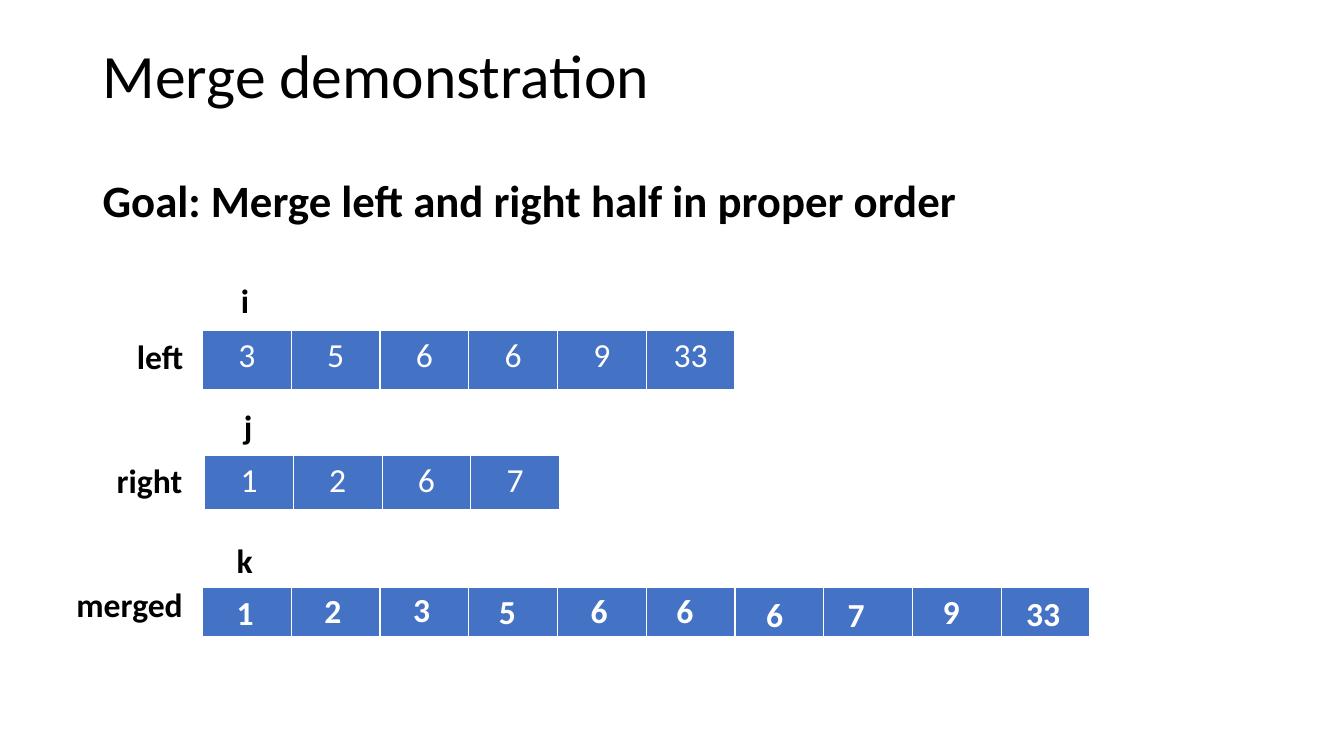
from lxml import etree
from pptx import Presentation
from pptx import util as u
from pptx.dml.color import RGBColor
from pptx.enum import text
from pptx.oxml import ns

BLACK = RGBColor(0x00, 0x00, 0x00)
WHITE = RGBColor(0xFF, 0xFF, 0xFF)
BLUE = RGBColor(0x44, 0x72, 0xC4)
COLUMN = 0.88
LINE = 0.5
BORDERS = {"a:lnL": 1, "a:lnR": 1, "a:lnT": 1, "a:lnB": 3}

ARRAYS = [
    dict(box=(2.01, 3.28, 0.6), values=[3, 5, 6, 6, 9, 33], count=6,
         name=("left", 1.26, 0, 0.68), index=("i", 0.28, -0.55, 0.28)),
    dict(box=(2.03, 4.52, 0.55), values=[1, 2, 6, 7], count=4,
         name=("right", 1.06, -0.01, 0.86), index=("j", 0.29, -0.54, 0.29)),
    dict(box=(2.01, 5.83, 0.5), values=[], count=10,
         name=("merged", 0.66, -0.09, 1.27), index=("k", 0.24, -0.52, 0.36)),
]
MERGED = [
    (1, 0.24, -0.01), (2, 0.23, -0.03), (3, 0.23, -0.04), (5, 0.2, -0.02),
    (6, 0.23, -0.03), (6, 0.2, -0.03), (6, 0.21, 0.01), (7, 0.14, 0.01),
    (9, 0.2, -0.02), (33, 0.15, 0),
]


def style(paragraph, size, color, bold):
    look = {"name": "Calibri", "size": u.Pt(size), "bold": bold}
    for key, value in look.items():
        setattr(paragraph.font, key, value)
    paragraph.font.color.rgb = color


def add_label(slide, words, left, top, width, color=BLACK):
    label = slide.shapes.add_textbox(*map(u.Inches, (left, top, width, LINE)))
    frame = label.text_frame
    frame.word_wrap = False
    frame.auto_size = text.MSO_AUTO_SIZE.SHAPE_TO_FIT_TEXT
    frame.text = str(words)
    style(frame.paragraphs[0], 24, color, True)


def add_heading(slide, left, top, width, height):
    heading = slide.shapes.add_textbox(*map(u.Inches, (left, top, width, height)))
    frame = heading.text_frame
    frame.word_wrap = True
    frame.text = "Merge demonstration\nGoal: Merge left and right half in proper order"
    title, goal = frame.paragraphs
    style(title, 44, BLACK, False)
    style(goal, 32, BLACK, True)
    title.line_spacing = goal.line_spacing = 0.9
    goal.space_before = u.Pt(48)


def add_borders(cell):
    properties = cell._tc.get_or_add_tcPr()
    for side, points in BORDERS.items():
        line = etree.SubElement(properties, ns.qn(side), w=str(u.Pt(points)))
        fill = etree.SubElement(line, ns.qn("a:solidFill"))
        etree.SubElement(fill, ns.qn("a:srgbClr"), val=str(WHITE))


def add_array(slide, box, values, count, name, index):
    left, top, height = box
    cells = slide.shapes.add_table(
        1, count, *map(u.Inches, (left, top, COLUMN * count, height))).table
    for column in range(count):
        cells.columns[column].width = u.Inches(COLUMN)
        cell = cells.cell(0, column)
        add_borders(cell)
        cell.fill.solid()
        cell.fill.fore_color.rgb = BLUE
        if values:
            cell.text = str(values[column])
            entry = cell.text_frame.paragraphs[0]
            entry.alignment = text.PP_ALIGN.CENTER
            style(entry, 24, WHITE, False)
    words, name_left, drop, width = name
    add_label(slide, words, name_left, top + drop, width)
    words, shift, drop, width = index
    add_label(slide, words, left + shift, top + drop, width)


def add_merged_values(slide, left, top):
    for column, (value, shift, drop) in enumerate(MERGED):
        add_label(slide, value, left + column * COLUMN + shift, top + drop,
                  0.54 if value > 9 else 0.37, WHITE)


def main():
    deck = Presentation()
    deck.slide_width, deck.slide_height = u.Inches(13.33), u.Inches(7.5)
    slide = deck.slides.add_slide(deck.slide_layouts[6])
    add_heading(slide, 0.92, 0.4, 11.5, 2.12)
    for array in ARRAYS:
        add_array(slide, **array)
    add_merged_values(slide, *ARRAYS[-1]["box"][:2])
    deck.save("out.pptx")


if __name__ == "__main__":
    main()
